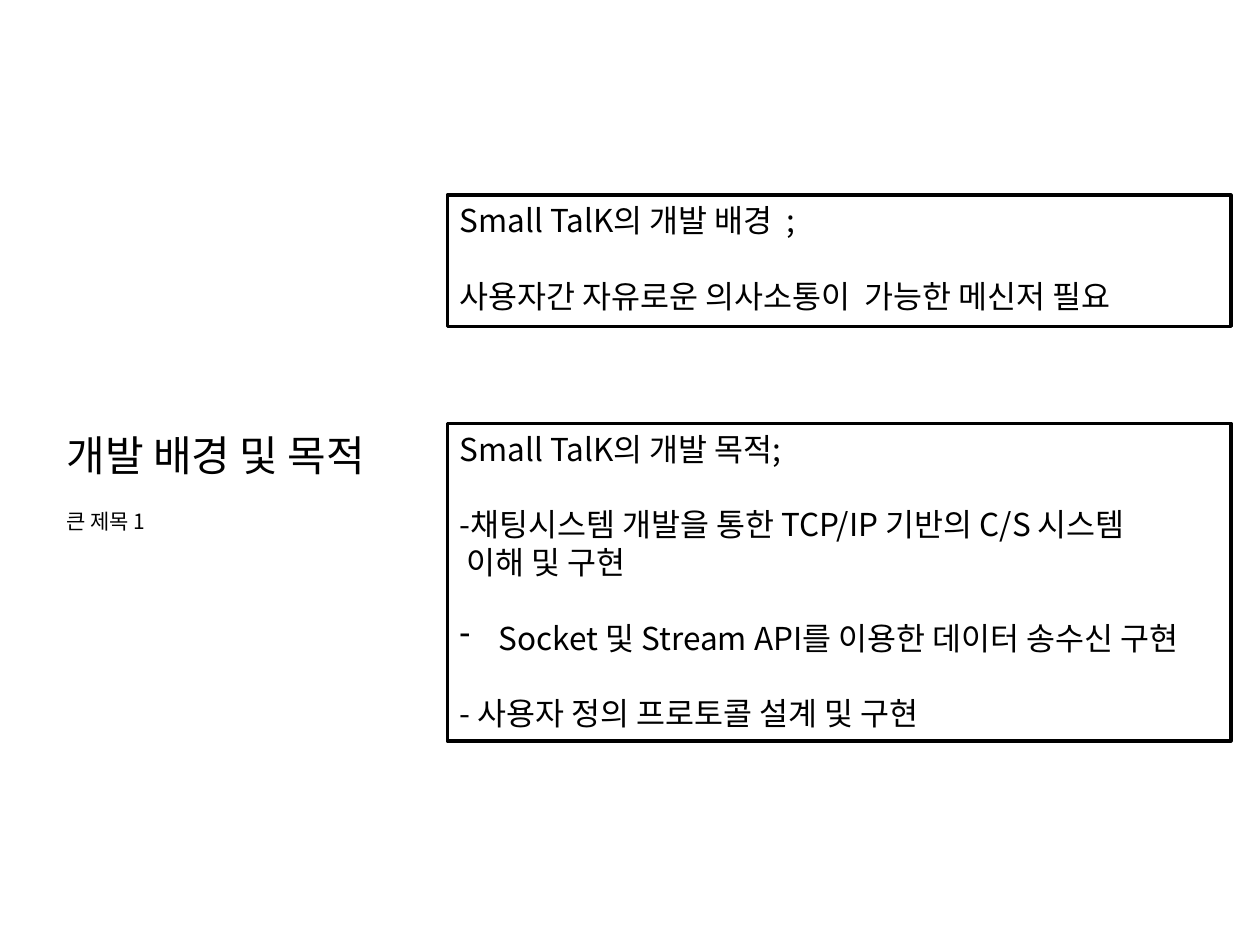
from lxml import etree
from pptx import Presentation
from pptx import util as u
from pptx.dml.color import RGBColor
from pptx.enum import shapes, text
from pptx.oxml.ns import qn

FONT = "Noto Sans CJK KR"
BLACK = "000000"
WHITE = "FFFFFF"
LINE_RATIO = 1.2


def color(hex_string):
    return RGBColor.from_string(hex_string)


def style_paragraph(paragraph, content, size, gap=False):
    paragraph.text = content
    paragraph.alignment = text.PP_ALIGN.LEFT
    paragraph.line_spacing = u.Pt(size * LINE_RATIO)
    if gap:
        paragraph.space_before = u.Pt(size * LINE_RATIO)
    font = paragraph.font
    font.size = u.Pt(size)
    font.color.rgb = color(BLACK)
    font.name = FONT
    defaults = paragraph._p.pPr.find(qn("a:defRPr"))
    etree.SubElement(defaults, qn("a:ea")).set("typeface", FONT)


def add_dash_bullet(paragraph, indent):
    properties = paragraph._p.pPr
    properties.set("marL", str(indent))
    properties.set("indent", str(-indent))
    bullet = etree.Element(qn("a:buChar"))
    bullet.set("char", "-")
    properties.find(qn("a:defRPr")).addprevious(bullet)


def add_label(slide, box, content, size):
    label = slide.shapes.add_textbox(*map(u.Inches, box))
    label.text_frame.word_wrap = True
    style_paragraph(label.text_frame.paragraphs[0], content, size)


def add_panel(slide, box, lines):
    panel = slide.shapes.add_shape(shapes.MSO_SHAPE.RECTANGLE, *map(u.Inches, box))
    panel.shadow.inherit = False
    panel.fill.solid()
    panel.fill.fore_color.rgb = color(WHITE)
    panel.line.color.rgb = color(BLACK)
    panel.line.width = u.Pt(2)
    frame = panel.text_frame
    frame.word_wrap = True
    frame.vertical_anchor = text.MSO_ANCHOR.TOP
    for index, (content, gap, bulleted) in enumerate(lines):
        paragraph = frame.add_paragraph() if index else frame.paragraphs[0]
        style_paragraph(paragraph, content, 18, gap)
        if bulleted:
            add_dash_bullet(paragraph, u.Inches(0.31))


def main():
    presentation = Presentation()
    presentation.slide_width = u.Inches(10)
    presentation.slide_height = u.Inches(7.5)
    slide = presentation.slides.add_slide(presentation.slide_layouts[6])

    add_label(slide, (0.43, 3.36, 2.83, 0.5), "개발 배경 및 목적", 24)
    add_label(slide, (0.43, 3.99, 2.44, 0.3), "큰 제목 1", 12)

    add_panel(slide, (3.55, 1.55, 6.22, 1.04), [
        ("Small TalK의 개발 배경  ;", False, False),
        ("사용자간 자유로운 의사소통이  가능한 메신저 필요", True, False),
    ])
    add_panel(slide, (3.55, 3.36, 6.22, 2.52), [
        ("Small TalK의 개발 목적;", False, False),
        ("-채팅시스템 개발을 통한 TCP/IP 기반의 C/S 시스템", True, False),
        (" 이해 및 구현", False, False),
        ("Socket 및 Stream API를 이용한 데이터 송수신 구현", True, True),
        ("- 사용자 정의 프로토콜 설계 및 구현", True, False),
    ])

    presentation.save("out.pptx")


if __name__ == "__main__":
    main()
